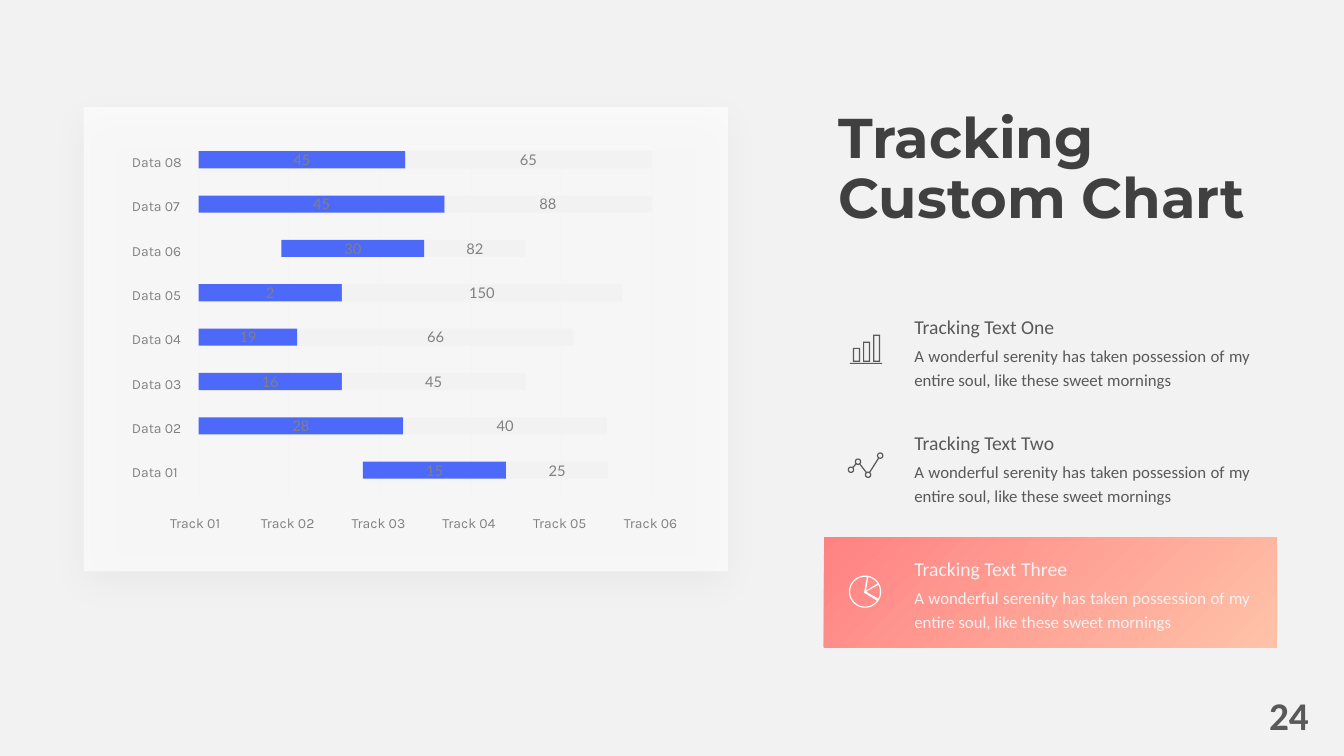
from math import cos, hypot, radians, sin

from lxml import etree
from pptx import Presentation
from pptx.dml.color import RGBColor
from pptx.enum.shapes import MSO_CONNECTOR, MSO_SHAPE
from pptx.enum.text import MSO_ANCHOR, MSO_AUTO_SIZE, PP_ALIGN
from pptx.oxml import parse_xml
from pptx.oxml.ns import nsdecls, qn
from pptx.util import Inches, Pt

RECTANGLE = MSO_SHAPE.RECTANGLE
STRAIGHT = MSO_CONNECTOR.STRAIGHT
MIDDLE = MSO_ANCHOR.MIDDLE
GROW = MSO_AUTO_SIZE.SHAPE_TO_FIT_TEXT
LEFT, CENTER, RIGHT, JUSTIFY = PP_ALIGN.LEFT, PP_ALIGN.CENTER, PP_ALIGN.RIGHT, PP_ALIGN.JUSTIFY


class Theme:
    pale = RGBColor(0xF2, 0xF2, 0xF2)
    white = RGBColor(0xFF, 0xFF, 0xFF)
    blue = RGBColor(0x4D, 0x69, 0xFA)
    coral = RGBColor(0xFF, 0x82, 0x83)
    peach = RGBColor(0xFF, 0xC2, 0xA8)
    heading = RGBColor(0x40, 0x40, 0x40)
    body = RGBColor(0x59, 0x59, 0x59)
    label = RGBColor(0x80, 0x80, 0x80)
    title_type = ("Montserrat", 40)
    number_type = ("Calibri", 28)
    item_type = ("Calibri", 14)
    body_type = ("Calibri", 12)
    label_type = ("Karla", 10)
    value_type = ("Lato", 10.5)


def add_text(box, text, typeface, color, align=LEFT, spacing=1.0, bold=False):
    left, top, width, height = [Inches(length) for length in box]
    frame = slide.shapes.add_textbox(left, top, width, height).text_frame
    frame.word_wrap = True
    frame.auto_size = GROW
    frame.text = text
    paragraph = frame.paragraphs[0]
    paragraph.alignment = align
    paragraph.line_spacing = spacing
    for run in paragraph.runs:
        run.font.name, run.font.size = typeface[0], Pt(typeface[1])
        run.font.color.rgb = color
        run.font.bold = bold
    return paragraph


def draw_icon(contours, color):
    outlines = [[(Inches(x), Inches(y)) for x, y in contour] for contour in contours]
    builder = slide.shapes.build_freeform(*outlines[0][0])
    builder.add_line_segments(outlines[0][1:])
    for outline in outlines[1:]:
        builder.move_to(*outline[0])
        builder.add_line_segments(outline[1:])
    icon = builder.convert_to_shape()
    icon.shadow.inherit = False
    icon.fill.solid()
    icon.fill.fore_color.rgb = color
    icon.line.fill.background()


deck = Presentation()
deck.slide_width, deck.slide_height = Inches(13.33), Inches(7.5)
slide = deck.slides.add_slide(deck.slide_layouts[6])
slide.background.fill.solid()
slide.background.fill.fore_color.rgb = Theme.pale

add_text((11.48, 6.81, 1.6, 0.57), "24", Theme.number_type, Theme.body, RIGHT, bold=True)

panel = slide.shapes.add_shape(RECTANGLE, Inches(0.83), Inches(1.06), Inches(6.39), Inches(4.61))
panel.fill.solid()
panel.fill.fore_color.rgb = Theme.white
panel.line.fill.background()
panel_color = panel.element.spPr.find(".//" + qn("a:srgbClr"))
etree.SubElement(panel_color, qn("a:alpha"), val="64000")
panel.element.spPr.append(parse_xml(
    f'<a:effectLst {nsdecls("a")}><a:outerShdw blurRad="{Pt(25)}" dist="{Pt(9)}" dir="5400000" '
    'algn="t" rotWithShape="0"><a:srgbClr val="000000"><a:alpha val="5000"/></a:srgbClr>'
    '</a:outerShdw></a:effectLst>'))

add_text((8.22, 1.04, 4.32, 1.31), "Tracking\vCustom Chart", Theme.title_type, Theme.heading,
         spacing=0.9, bold=True)

highlight = slide.shapes.add_shape(RECTANGLE, Inches(8.17), Inches(5.33), Inches(4.49), Inches(1.09))
highlight.shadow.inherit = False
highlight.line.fill.background()
highlight.fill.gradient()
highlight.fill.gradient_angle = 315
for stop, color in zip(highlight.fill.gradient_stops, (Theme.coral, Theme.peach)):
    stop.color.rgb = color

items = [("Tracking Text One", 3.03, Theme.body),
         ("Tracking Text Two", 4.18, Theme.body),
         ("Tracking Text Three", 5.43, Theme.pale)]
for item, top, color in items:
    description = add_text((8.97, top + 0.31, 3.53, 0.57),
                           "A wonderful serenity has taken possession of my entire soul, "
                           "like these sweet mornings",
                           Theme.body_type, color, JUSTIFY, 1.2)
    description.space_after = Pt(6)
    add_text((8.97, top, 2.29, 0.36), item, Theme.item_type, color, spacing=1.2)

columns = [(8.43, 3.6, 8.75, 3.61)]
for left, top in [(8.46, 3.45), (8.56, 3.39), (8.66, 3.32)]:
    columns += [(left + inset, top + inset, left + 0.07 - inset, 3.59 - inset) for inset in (0, 0.012)]
draw_icon([[(x1, y1), (x2, y1), (x2, y2), (x1, y2)] for x1, y1, x2, y2 in columns], Theme.body)

points = [(8.44, 4.66), (8.51, 4.58), (8.61, 4.71), (8.73, 4.52)]
trend = [[(x + radius * cos(radians(angle)), y + radius * sin(radians(angle)))
          for angle in range(0, 360, 15)]
         for x, y in points for radius in (0.032, 0.02)]
for (x1, y1), (x2, y2) in zip(points, points[1:]):
    length = hypot(x2 - x1, y2 - y1)
    along_x, along_y = (x2 - x1) / length, (y2 - y1) / length
    trend.append([(x1 + along_x * reach - along_y * side, y1 + along_y * reach + along_x * side)
                  for reach, side in [(0.032, 0.006), (length - 0.032, 0.006),
                                      (length - 0.032, -0.006), (0.032, -0.006)]])
draw_icon(trend, Theme.body)

pie = [[(8.58 + 0.16 * cos(radians(angle)), 5.87 + 0.16 * sin(radians(angle)))
        for angle in range(0, 360, 10)]]
for apex, start, end in [((8.59, 5.86), -78, -33), ((8.59, 5.87), -27, 32), ((8.57, 5.88), 37, 277)]:
    pie.append([apex] + [(8.58 + 0.148 * cos(radians(angle)), 5.87 + 0.148 * sin(radians(angle)))
                         for angle in range(start, end + 1, 5)])
draw_icon(pie, Theme.white)

for track in range(6):
    offset = track * 0.9
    add_text((1.59 + offset, 5.02, 0.76, 0.28), f"Track {track + 1:02}", Theme.label_type,
             Theme.label, spacing=1.2)
    x = Inches(1.97 + offset)
    gridline = slide.shapes.add_connector(STRAIGHT, x, Inches(1.5), x, Inches(4.94))
    gridline.line.color.rgb = Theme.pale
    gridline.line.width = Pt(0.5)
    line_properties = gridline.element.spPr
    etree.SubElement(line_properties.find(".//" + qn("a:srgbClr")), qn("a:alpha"), val="50000")
    etree.SubElement(line_properties, qn("a:effectLst"))

rows = [("Data 08", 1.97, 2.05, "45", 2.44, "65"),
        ("Data 07", 1.97, 2.44, "45", 2.05, "88"),
        ("Data 06", 2.79, 1.42, "30", 1.0, "82"),
        ("Data 05", 1.97, 1.42, "2", 2.78, "150"),
        ("Data 04", 1.97, 0.98, "19", 2.74, "66"),
        ("Data 03", 1.97, 1.42, "16", 1.82, "45"),
        ("Data 02", 1.97, 2.03, "28", 2.02, "40"),
        ("Data 01", 3.6, 1.42, "15", 1.01, "25")]
for index, (name, start, done, done_value, rest, rest_value) in enumerate(rows):
    top = 1.5 + index * 0.44
    for left, width, value, color in [(start, done, done_value, Theme.blue),
                                      (start + done, rest, rest_value, Theme.pale)]:
        bar = slide.shapes.add_shape(RECTANGLE, Inches(left), Inches(top), Inches(width), Inches(0.17))
        bar.shadow.inherit = False
        bar.fill.solid()
        bar.fill.fore_color.rgb = color
        bar.line.fill.background()
        bar.text_frame.text = value
        bar.text_frame.vertical_anchor = MIDDLE
        figure = bar.text_frame.paragraphs[0]
        figure.alignment = CENTER
        font = figure.runs[0].font
        font.name, font.size = Theme.value_type[0], Pt(Theme.value_type[1])
        font.color.rgb = Theme.label
    add_text((1.21, top - 0.06, 0.76, 0.28), name, Theme.label_type, Theme.label, spacing=1.2)

deck.save("out.pptx")
